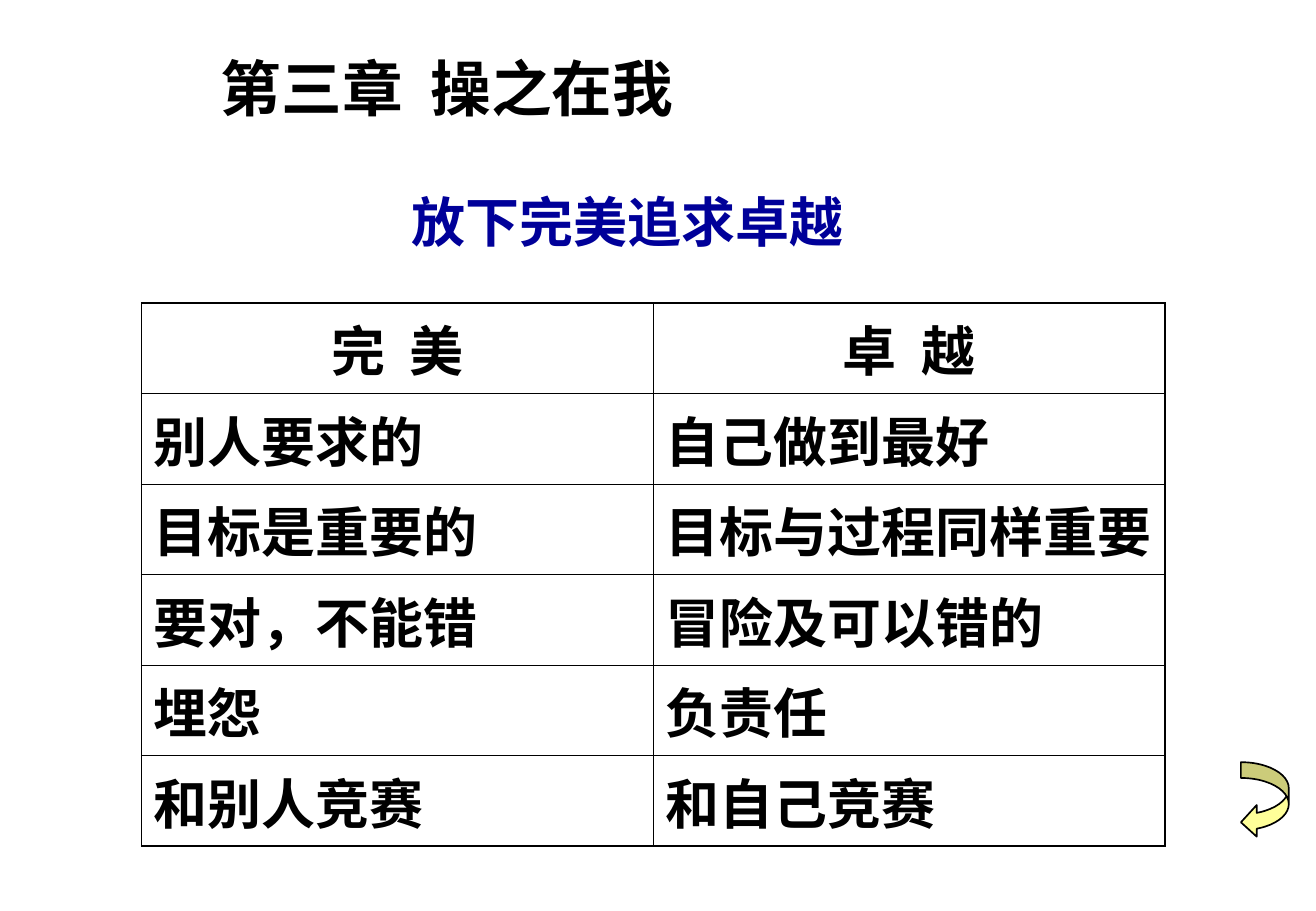
from lxml.etree import SubElement
from pptx import Presentation
from pptx.dml.color import RGBColor
from pptx.enum.shapes import MSO_SHAPE
from pptx.enum.text import MSO_ANCHOR, PP_ALIGN
from pptx.oxml.ns import qn
from pptx.util import Pt

COLORS = {"black": "000000", "blue": "000099", "yellow": "FFFF99"}
ROWS = [
    ("完  美", "卓  越"),
    ("别人要求的", "自己做到最好"),
    ("目标是重要的", "目标与过程同样重要"),
    ("要对，不能错", "冒险及可以错的"),
    ("埋怨", "负责任"),
    ("和别人竞赛", "和自己竞赛"),
]


def paint(name):
    return RGBColor.from_string(COLORS[name])


def write(frame, text, size, color="black", face="Arial", align=PP_ALIGN.LEFT):
    frame.text = text
    para = frame.paragraphs[0]
    para.alignment = align
    para.font.size = Pt(size)
    para.font.name = face
    para.font.bold = True
    para.font.color.rgb = paint(color)


def place(shape, box):
    shape.left, shape.top, shape.width, shape.height = map(Pt, box)


def add_title(slide, box):
    title = slide.shapes.title
    place(title, box)
    title.text_frame.vertical_anchor = MSO_ANCHOR.MIDDLE
    write(title.text_frame, "放下完美追求卓越", 32, "blue")


def add_chapter(slide, box):
    frame = slide.shapes.add_textbox(*map(Pt, box)).text_frame
    frame.word_wrap = True
    frame.vertical_anchor = MSO_ANCHOR.MIDDLE
    write(frame, "第三章  操之在我", 36, face="Noto Sans CJK SC")


def rule_cell(cell, edges):
    props = cell._tc.get_or_add_tcPr()
    for side, outer in edges.items():
        width = Pt(1.08 if outer else 0.45)
        line = SubElement(props, qn("a:ln" + side), w=str(width))
        fill = SubElement(line, qn("a:solidFill"))
        SubElement(fill, qn("a:srgbClr"), val=COLORS["black"])


def add_grid(slide, box):
    count, wide = len(ROWS), len(ROWS[0])
    table = slide.shapes.add_table(count, wide, *map(Pt, box)).table
    table.first_row = table.horz_banding = False
    head = 51
    for num, row in enumerate(table.rows):
        row.height = Pt((box[3] - head) / (count - 1) if num else head)
    for num, texts in enumerate(ROWS):
        for col, text in enumerate(texts):
            cell = table.cell(num, col)
            rule_cell(cell, {
                "L": col == 0,
                "R": col == wide - 1,
                "T": num == 0,
                "B": num == count - 1,
            })
            cell.fill.background()
            align = PP_ALIGN.LEFT if num else PP_ALIGN.CENTER
            write(cell.text_frame, text, 32, align=align)


def add_arrow(slide, box):
    arrow = slide.shapes.add_shape(MSO_SHAPE.CURVED_LEFT_ARROW, *map(Pt, box))
    for num, value in enumerate((0.33, 0.66, 0.33)):
        arrow.adjustments[num] = value
    arrow.shadow.inherit = False
    arrow.fill.solid()
    arrow.fill.fore_color.rgb = paint("yellow")
    arrow.line.color.rgb = paint("black")
    arrow.line.width = Pt(1)


def main():
    deck = Presentation()
    deck.slide_width = Pt(780.48)
    deck.slide_height = Pt(540)
    slide = deck.slides.add_slide(deck.slide_layouts[5])
    add_title(slide, (236.9, 111.2, 345.6, 39.6))
    add_grid(slide, (84, 179.6, 607, 297.4))
    add_chapter(slide, (123.8, 20.2, 437.8, 62.6))
    add_arrow(slide, (736, 451.8, 28.4, 45))
    deck.save("out.pptx")


if __name__ == "__main__":
    main()
